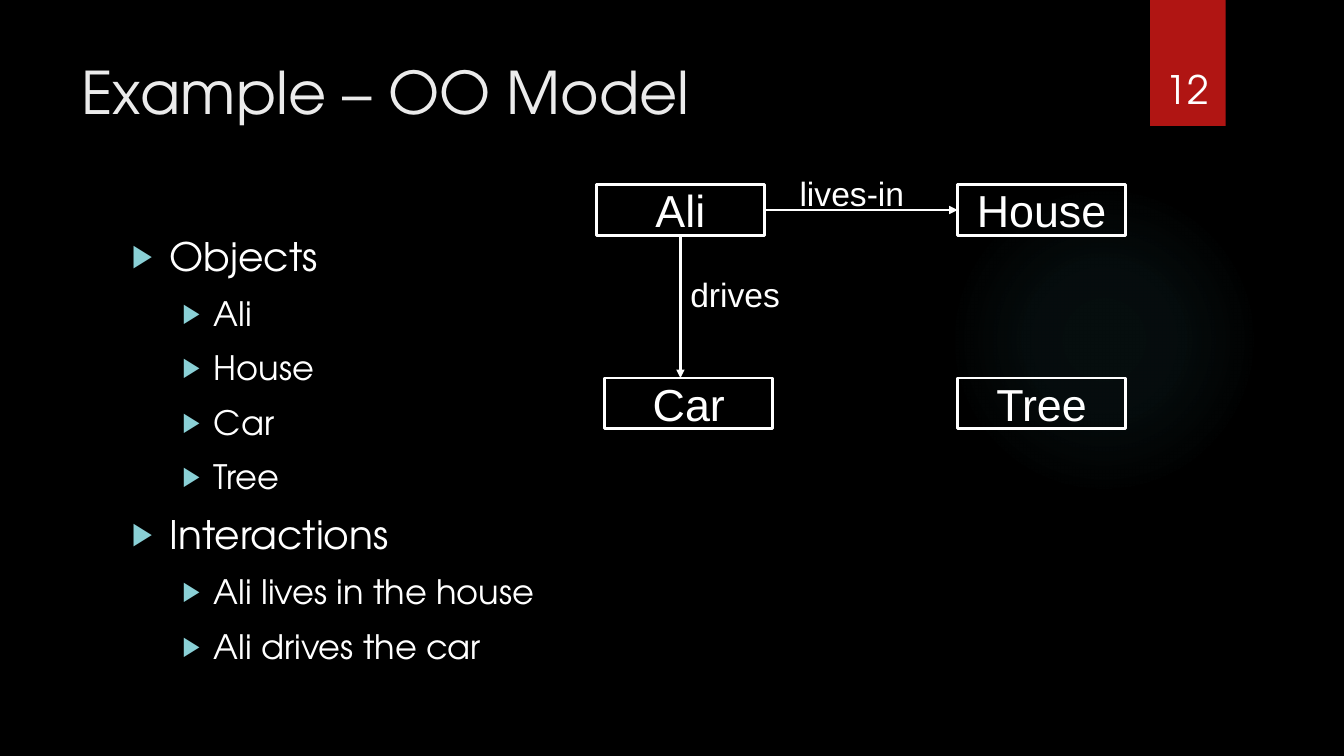
import lxml.etree
import pptx
import pptx.dml.color
import pptx.enum.shapes
import pptx.enum.text
import pptx.oxml
import pptx.oxml.ns
import pptx.util

Pt = pptx.util.Pt
SHAPE = pptx.enum.shapes.MSO_SHAPE
ALIGN = pptx.enum.text.PP_ALIGN
ANCHOR = pptx.enum.text.MSO_ANCHOR

HEADING_FONT, DIAGRAM_FONT = "TeX Gyre Adventor", "Arial"
WHITE, BLACK, RED, TEAL, PALE, AQUA = "FFFFFF", "000000", "B01513", "50B9C1", "EBEBEB", "8AD0D6"

TITLE = "Example – OO Model"
OUTLINE = [
    ("Objects", ["Ali", "House", "Car", "Tree"]),
    ("Interactions", ["Ali lives in the house", "Ali drives the car"]),
]
# Outline level: text size, left margin, hanging indent
LEVELS = [(28, 27, 27), (24, 58.5, 22.5)]

OBJECT_SIZE = (120, 36)
OBJECTS = {"Ali": (426, 132), "Car": (432, 270), "House": (684, 132), "Tree": (684, 270)}
LABELS = {"lives-in": (564, 120), "drives": (486, 192)}
LABEL_SIZE = (90, 36)
HALO_STOPS = [(0, 7), (36, 6), (69, 0)]  # position and opacity in percent


def colour(hex_text):
    return pptx.dml.color.RGBColor.from_string(hex_text)


def points(*lengths):
    return [Pt(length) for length in lengths]


def apply_format(target, values):
    for name, value in values.items():
        setattr(target, name, value)


def write(paragraph, text, size, font, tint=WHITE):
    paragraph.text = text
    apply_format(paragraph.font, {"size": Pt(size), "name": font})
    paragraph.font.color.rgb = colour(tint)


def place(box, left, top, width, height):
    names = ("left", "top", "width", "height")
    apply_format(box, dict(zip(names, points(left, top, width, height))))


def add_shape(page, kind, bounds):
    shape = page.shapes.add_shape(kind, *points(*bounds))
    shape.shadow.inherit = False
    return shape


def add_text(page, text, bounds, size, font, align=ALIGN.LEFT, anchor=ANCHOR.TOP):
    box = page.shapes.add_textbox(*points(*bounds))
    apply_format(box.text_frame, {"word_wrap": True, "vertical_anchor": anchor})
    paragraph = box.text_frame.paragraphs[0]
    write(paragraph, text, size, font)
    paragraph.alignment = align


def add_halo(page):
    """Faint round glow; the opacity of its stops needs XML."""
    halo = add_shape(page, SHAPE.OVAL, (677.5, 131.75, 221.75, 221.75))
    halo.line.fill.background()
    stops = "".join(
        f'<a:gs pos="{position * 1000}"><a:srgbClr val="{TEAL}">'
        f'<a:alpha val="{opacity * 1000}"/></a:srgbClr></a:gs>'
        for position, opacity in HALO_STOPS
    )
    gradient = pptx.oxml.parse_xml(
        f'<a:gradFill {pptx.oxml.ns.nsdecls("a")} rotWithShape="1"><a:gsLst>{stops}</a:gsLst>'
        '<a:path path="circle"><a:fillToRect l="50000" t="50000" r="50000" b="50000"/></a:path>'
        "</a:gradFill>"
    )
    geometry = halo.element.spPr.find(pptx.oxml.ns.qn("a:prstGeom"))
    geometry.addnext(gradient)


def add_bullet(paragraph, margin, hanging):
    properties = paragraph._p.get_or_add_pPr()
    properties.set("marL", str(Pt(margin)))
    properties.set("indent", str(-Pt(hanging)))
    tint = lxml.etree.SubElement(properties, pptx.oxml.ns.qn("a:buClr"))
    lxml.etree.SubElement(tint, pptx.oxml.ns.qn("a:srgbClr"), val=AQUA)
    lxml.etree.SubElement(properties, pptx.oxml.ns.qn("a:buSzPct"), val="80000")
    lxml.etree.SubElement(properties, pptx.oxml.ns.qn("a:buChar"), char="▶")


def fill_outline(frame):
    lines = []
    for heading, items in OUTLINE:
        lines += [(0, heading)] + [(1, item) for item in items]
    for index, (level, text) in enumerate(lines):
        paragraph = frame.add_paragraph() if index else frame.paragraphs[0]
        size, margin, hanging = LEVELS[level]
        add_bullet(paragraph, margin, hanging)
        write(paragraph, text, size, HEADING_FONT)
        apply_format(paragraph, {"level": level, "space_before": Pt(10 if index else 0)})


def add_object(page, name, corner):
    box = add_shape(page, SHAPE.RECTANGLE, corner + OBJECT_SIZE)
    box.fill.background()
    box.line.color.rgb = colour(WHITE)
    box.line.width = Pt(2)
    apply_format(box.text_frame, {"word_wrap": False, "vertical_anchor": ANCHOR.MIDDLE})
    paragraph = box.text_frame.paragraphs[0]
    write(paragraph, name, 32, DIAGRAM_FONT)
    paragraph.alignment = ALIGN.CENTER


def add_arrow(page, start, end):
    straight = pptx.enum.shapes.MSO_CONNECTOR.STRAIGHT
    arrow = page.shapes.add_connector(straight, *points(*start, *end))
    arrow.line.color.rgb = colour(WHITE)
    arrow.line.width = Pt(2)
    line = arrow.line._get_or_add_ln()
    lxml.etree.SubElement(line, pptx.oxml.ns.qn("a:tailEnd"), type="triangle")
    lxml.etree.SubElement(arrow.element.spPr, pptx.oxml.ns.qn("a:effectLst"))


def main():
    deck = pptx.Presentation()
    deck.slide_width, deck.slide_height = points(960, 540)
    page = deck.slides.add_slide(deck.slide_layouts[1])
    page.background.fill.solid()
    page.background.fill.fore_color.rgb = colour(BLACK)

    add_halo(page)
    tab = add_shape(page, SHAPE.RECTANGLE, (821.5, 0, 54, 90))
    tab.fill.solid()
    tab.fill.fore_color.rgb = colour(RED)
    tab.line.fill.background()

    title, body = page.shapes.title, page.placeholders[1]
    place(title, 51, 36, 741, 110)
    place(body, 87, 162, 704, 330.5)
    for holder in (title, body):
        apply_format(holder.text_frame, {
            "word_wrap": True,
            "vertical_anchor": ANCHOR.TOP,
            "auto_size": pptx.enum.text.MSO_AUTO_SIZE.NONE,
        })
    heading = title.text_frame.paragraphs[0]
    write(heading, TITLE, 42, HEADING_FONT, PALE)
    heading.alignment = ALIGN.LEFT
    fill_outline(body.text_frame)

    for name, corner in OBJECTS.items():
        add_object(page, name, corner)
    width, height = OBJECT_SIZE
    (ali_left, ali_top), (house_left, _) = OBJECTS["Ali"], OBJECTS["House"]
    middle, centre = ali_top + height / 2, ali_left + width / 2
    add_arrow(page, (ali_left + width, middle), (house_left, middle))
    add_arrow(page, (centre, ali_top + height), (centre, OBJECTS["Car"][1]))
    for text, corner in LABELS.items():
        add_text(page, text, corner + LABEL_SIZE, 24, DIAGRAM_FONT)

    add_text(page, "12", (815, 23, 66, 60.5), 28, HEADING_FONT, ALIGN.CENTER, ANCHOR.BOTTOM)
    deck.save("out.pptx")


if __name__ == "__main__":
    main()
